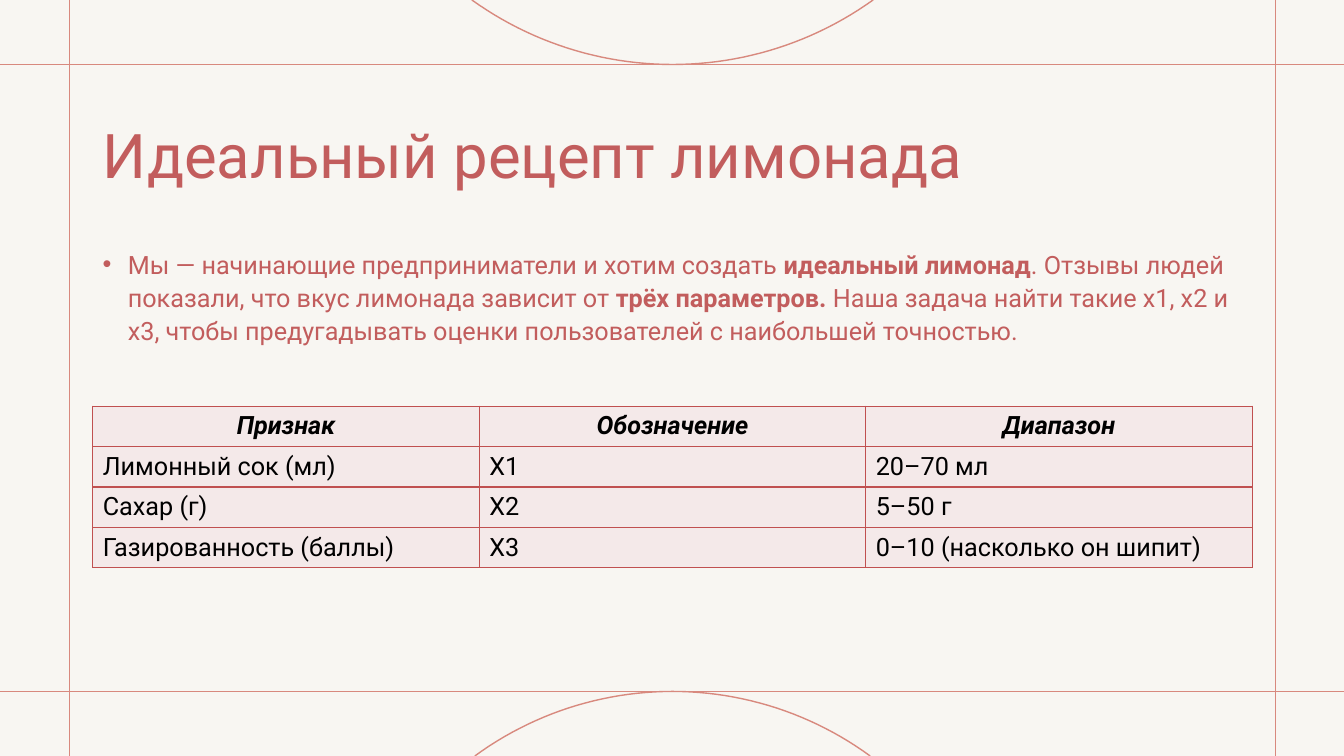
import math
from dataclasses import dataclass

from lxml import etree
from pptx import Presentation
from pptx import util as u
from pptx.dml.color import RGBColor
from pptx.enum import shapes, text
from pptx.oxml import ns

EMU_PER_PX = 9144
SLIDE_WIDTH, SLIDE_HEIGHT = 1333, 750
FONT = "Roboto"
CREAM = RGBColor(0xF8, 0xF6, 0xF2)
CORAL = RGBColor(0xD8, 0x89, 0x7E)
ROSE = RGBColor(0xC2, 0x5D, 0x5D)
BORDER = RGBColor(0xC0, 0x50, 0x50)
BLUSH = RGBColor(0xF4, 0xE9, 0xE9)
BLACK = RGBColor(0, 0, 0)
ARC_STEPS = 48
ROW_HEIGHT = 39


@dataclass(frozen=True)
class Rule:
    x1: int
    y1: int
    x2: int
    y2: int


@dataclass(frozen=True)
class Arc:
    center_x: int
    tip_y: int
    half_width: int
    rise: int
    direction: int


@dataclass(frozen=True)
class Box:
    left: int
    top: int
    width: int
    height: int


@dataclass(frozen=True)
class Piece:
    content: str
    bold: bool = False
    italic: bool = False


RULES = [Rule(0, y, SLIDE_WIDTH, y) for y in (64, 686)]
RULES += [Rule(x, 0, x, SLIDE_HEIGHT) for x in (69, 1265)]
ARCS = [Arc(667, 64, 199, 64, -1), Arc(667, 686, 196, 64, 1)]

TITLE_BOX = Box(92, 80, 1150, 145)
BODY_BOX = Box(92, 239, 1150, 418)
TABLE_BOX = Box(92, 403, 1150, 4 * ROW_HEIGHT)

TITLE = [Piece("Идеальный рецепт лимонада")]
BODY = [
    Piece("Мы — начинающие предприниматели и хотим создать "),
    Piece("идеальный лимонад", bold=True),
    Piece(". Отзывы людей показали, что вкус лимонада зависит от "),
    Piece("трёх параметров. ", bold=True),
    Piece("Наша задача найти такие х1, х2 и х3, чтобы предугадывать "
          "оценки пользователей с наибольшей точностью."),
]
TABLE = [
    ("Признак", "Обозначение", "Диапазон"),
    ("Лимонный сок (мл)", "X1", "20–70 мл"),
    ("Сахар (г)", "X2", "5–50 г"),
    ("Газированность (баллы)", "Х3", "0–10 (насколько он шипит)"),
]


def px(length: float) -> u.Emu:
    return u.Emu(round(length * EMU_PER_PX))


def box_lengths(box: Box) -> list[u.Emu]:
    return [px(length) for length in (box.left, box.top, box.width, box.height)]


def style_line(line) -> None:
    line.color.rgb = CORAL
    line.width = u.Pt(1)


def draw_rule(slide, rule: Rule) -> None:
    connector = slide.shapes.add_connector(
        shapes.MSO_CONNECTOR.STRAIGHT,
        px(rule.x1), px(rule.y1), px(rule.x2), px(rule.y2))
    style_line(connector.line)
    etree.SubElement(connector._element.spPr, ns.qn("a:effectLst"))


def draw_arc(slide, arc: Arc) -> None:
    radius = (arc.half_width ** 2 + arc.rise ** 2) / (2 * arc.rise)
    reach = math.asin(arc.half_width / radius)
    points = []
    for step in range(ARC_STEPS + 1):
        angle = reach * (2 * step / ARC_STEPS - 1)
        depth = radius * (1 - math.cos(angle))
        points.append((px(arc.center_x + radius * math.sin(angle)),
                       px(arc.tip_y + arc.direction * depth)))
    builder = slide.shapes.build_freeform(*points[0])
    builder.add_line_segments(points[1:], close=False)
    shape = builder.convert_to_shape()
    shape.shadow.inherit = False
    shape.fill.background()
    style_line(shape.line)


def add_runs(paragraph, pieces: list[Piece], size: int, color: RGBColor) -> None:
    for piece in pieces:
        run = paragraph.add_run()
        run.text = piece.content
        run.font.name = FONT
        run.font.size = u.Pt(size)
        run.font.bold = piece.bold
        run.font.italic = piece.italic
        run.font.color.rgb = color


def draw_text(slide, box: Box, pieces: list[Piece], size: int, anchor):
    frame = slide.shapes.add_textbox(*box_lengths(box)).text_frame
    frame.word_wrap = True
    frame.vertical_anchor = anchor
    paragraph = frame.paragraphs[0]
    add_runs(paragraph, pieces, size, ROSE)
    return paragraph


def format_bullet(paragraph) -> None:
    paragraph.line_spacing = 1.1
    paragraph.space_before = u.Pt(10)
    properties = paragraph._p.get_or_add_pPr()
    properties.set("marL", str(px(25)))
    properties.set("indent", str(px(-25)))
    etree.SubElement(properties, ns.qn("a:buFont"), typeface="Arial")
    etree.SubElement(properties, ns.qn("a:buChar"), char="•")


def add_borders(cell) -> None:
    properties = cell._tc.get_or_add_tcPr()
    for side in ("lnL", "lnR", "lnT", "lnB"):
        line = etree.SubElement(properties, ns.qn(f"a:{side}"), w=str(u.Pt(1)))
        fill = etree.SubElement(line, ns.qn("a:solidFill"))
        etree.SubElement(fill, ns.qn("a:srgbClr"), val=str(BORDER))


def draw_table(slide, box: Box, rows: list[tuple[str, ...]]) -> None:
    table = slide.shapes.add_table(
        len(rows), len(rows[0]), *box_lengths(box)).table
    table.first_row = False
    table.horz_banding = False
    for row_index, row in enumerate(rows):
        header = row_index == 0
        for column_index, content in enumerate(row):
            cell = table.cell(row_index, column_index)
            add_borders(cell)
            cell.fill.solid()
            cell.fill.fore_color.rgb = BLUSH
            cell.vertical_anchor = text.MSO_ANCHOR.MIDDLE
            paragraph = cell.text_frame.paragraphs[0]
            if header:
                paragraph.alignment = text.PP_ALIGN.CENTER
            add_runs(paragraph, [Piece(content, header, header)], 18, BLACK)


def main() -> None:
    presentation = Presentation()
    presentation.slide_width = px(SLIDE_WIDTH)
    presentation.slide_height = px(SLIDE_HEIGHT)
    slide = presentation.slides.add_slide(presentation.slide_layouts[6])
    slide.background.fill.solid()
    slide.background.fill.fore_color.rgb = CREAM
    for rule in RULES:
        draw_rule(slide, rule)
    for arc in ARCS:
        draw_arc(slide, arc)
    draw_text(slide, TITLE_BOX, TITLE, 44, text.MSO_ANCHOR.MIDDLE)
    format_bullet(draw_text(slide, BODY_BOX, BODY, 18, text.MSO_ANCHOR.TOP))
    draw_table(slide, TABLE_BOX, TABLE)
    presentation.save("out.pptx")


if __name__ == "__main__":
    main()
